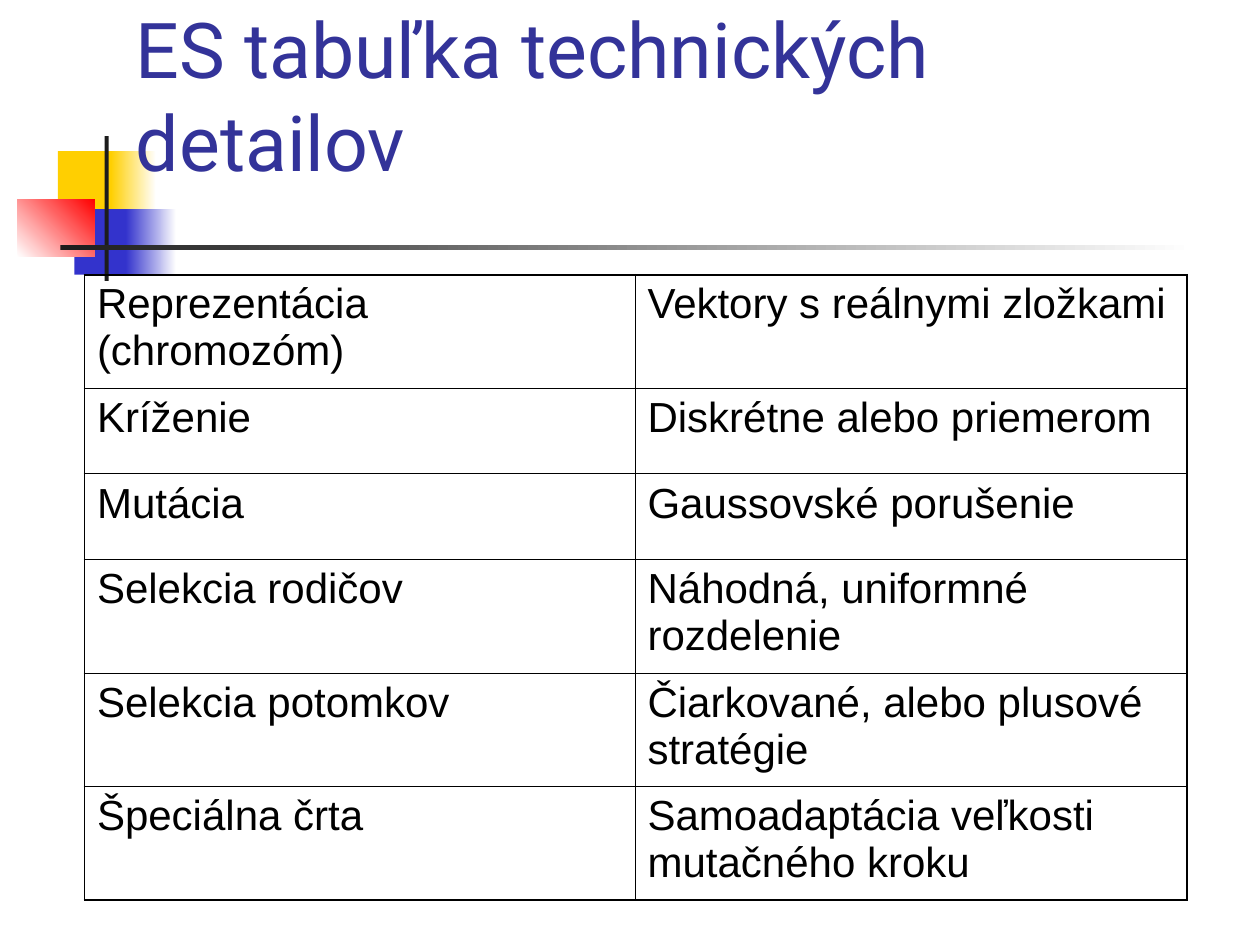
from dataclasses import dataclass

from lxml.etree import SubElement
from pptx import Presentation
from pptx.dml.color import RGBColor
from pptx.enum.shapes import MSO_SHAPE
from pptx.enum.text import MSO_ANCHOR
from pptx.oxml.ns import qn
from pptx.slide import Slide
from pptx.table import _Cell
from pptx.text.text import _Paragraph
from pptx.util import Pt


@dataclass(frozen=True)
class Theme:
    yellow: str = "FFCF01"
    blue: str = "3333CC"
    red: str = "FF0000"
    charcoal: str = "1C1C1C"
    white: str = "FFFFFF"
    title_color: str = "333399"
    text_color: str = "000000"
    title_font: str = "Roboto"
    body_font: str = "Arial"
    title_size: float = 44
    body_size: float = 24
    outer_border: float = 1.08
    inner_border: float = 0.45


@dataclass(frozen=True)
class Block:
    """A decorative rectangle; an end colour turns its fill into a gradient."""
    left: float
    top: float
    width: float
    height: float
    color: str
    end_color: str | None = None
    angle: float = 0


THEME = Theme()

BLOCKS = [
    Block(33.12, 86.4, 34.56, 37.44, THEME.yellow),
    Block(63.36, 86.4, 25.92, 37.44, THEME.yellow, THEME.white),
    Block(42.48, 119.52, 33.12, 37.44, THEME.blue),
    Block(72, 119.52, 28.8, 37.44, THEME.blue, THEME.white),
    Block(10.08, 113.76, 43.92, 33.12, THEME.white, THEME.red, 45),
    Block(59.76, 77.76, 2.4, 82.8, THEME.charcoal),
    Block(34.56, 140.2, 648, 2.4, THEME.charcoal, THEME.white),
]

TITLE = "ES tabuľka technických detailov"
DETAILS = [
    ("Reprezentácia (chromozóm)", "Vektory s reálnymi zložkami"),
    ("Kríženie", "Diskrétne alebo priemerom"),
    ("Mutácia", "Gaussovské porušenie"),
    ("Selekcia rodičov", "Náhodná, uniformné rozdelenie"),
    ("Selekcia potomkov", "Čiarkované, alebo plusové stratégie"),
    ("Špeciálna črta", "Samoadaptácia veľkosti mutačného kroku"),
]
TABLE_LEFT, TABLE_TOP = 48.24, 156.96
COLUMN_WIDTHS = [314.6, 315.4]
ROW_HEIGHTS = [64.8, 48.96, 48.96, 64.8, 64.8, 64.8]


def format_runs(para: _Paragraph, font: str, size: float, color: str) -> None:
    for span in para.runs:
        span.font.name = font
        span.font.size = Pt(size)
        span.font.color.rgb = RGBColor.from_string(color)


def draw_block(slide: Slide, block: Block) -> None:
    shape = slide.shapes.add_shape(
        MSO_SHAPE.RECTANGLE, Pt(block.left), Pt(block.top), Pt(block.width), Pt(block.height)
    )
    shape.shadow.inherit = False
    shape.line.fill.background()
    if block.end_color is None:
        shape.fill.solid()
        shape.fill.fore_color.rgb = RGBColor.from_string(block.color)
        return
    shape.fill.gradient()
    shape.fill.gradient_angle = block.angle
    for stop, color in zip(shape.fill.gradient_stops, (block.color, block.end_color)):
        stop.color.rgb = RGBColor.from_string(color)


def draw_title(slide: Slide) -> None:
    box = slide.shapes.add_textbox(Pt(70.56), Pt(20.16), Pt(630), Pt(90))
    frame = box.text_frame
    frame.word_wrap = True
    frame.vertical_anchor = MSO_ANCHOR.BOTTOM
    frame.margin_right = Pt(14.4)
    frame.text = TITLE
    format_runs(frame.paragraphs[0], THEME.title_font, THEME.title_size, THEME.title_color)


def set_borders(cell: _Cell, outer_sides: dict[str, bool]) -> None:
    """Draw the cell's sides, given in schema order, thicker on the table's edge."""
    properties = cell._tc.get_or_add_tcPr()
    for side, is_outer in outer_sides.items():
        width = THEME.outer_border if is_outer else THEME.inner_border
        line = SubElement(properties, qn(f"a:ln{side}"), w=str(Pt(width)))
        fill = SubElement(line, qn("a:solidFill"))
        SubElement(fill, qn("a:srgbClr"), val=THEME.text_color)


def draw_table(slide: Slide) -> None:
    last_row, last_column = len(ROW_HEIGHTS) - 1, len(COLUMN_WIDTHS) - 1
    table = slide.shapes.add_table(
        len(ROW_HEIGHTS), len(COLUMN_WIDTHS), Pt(TABLE_LEFT), Pt(TABLE_TOP),
        Pt(sum(COLUMN_WIDTHS)), Pt(sum(ROW_HEIGHTS)),
    ).table
    table.first_row = False
    table.horz_banding = False
    for column, width in zip(table.columns, COLUMN_WIDTHS):
        column.width = Pt(width)
    for row, height in zip(table.rows, ROW_HEIGHTS):
        row.height = Pt(height)
    for i, texts in enumerate(DETAILS):
        for j, text in enumerate(texts):
            cell = table.cell(i, j)
            set_borders(cell, {"L": j == 0, "R": j == last_column,
                               "T": i == 0, "B": i == last_row})
            cell.fill.background()
            cell.text_frame.text = text
            para = cell.text_frame.paragraphs[0]
            para.space_before = Pt(6)
            format_runs(para, THEME.body_font, THEME.body_size, THEME.text_color)


def main() -> None:
    deck = Presentation()
    deck.slide_width, deck.slide_height = Pt(720), Pt(540)
    slide = deck.slides.add_slide(deck.slide_layouts[6])
    for block in BLOCKS:
        draw_block(slide, block)
    draw_title(slide)
    draw_table(slide)
    deck.save("out.pptx")


if __name__ == "__main__":
    main()
